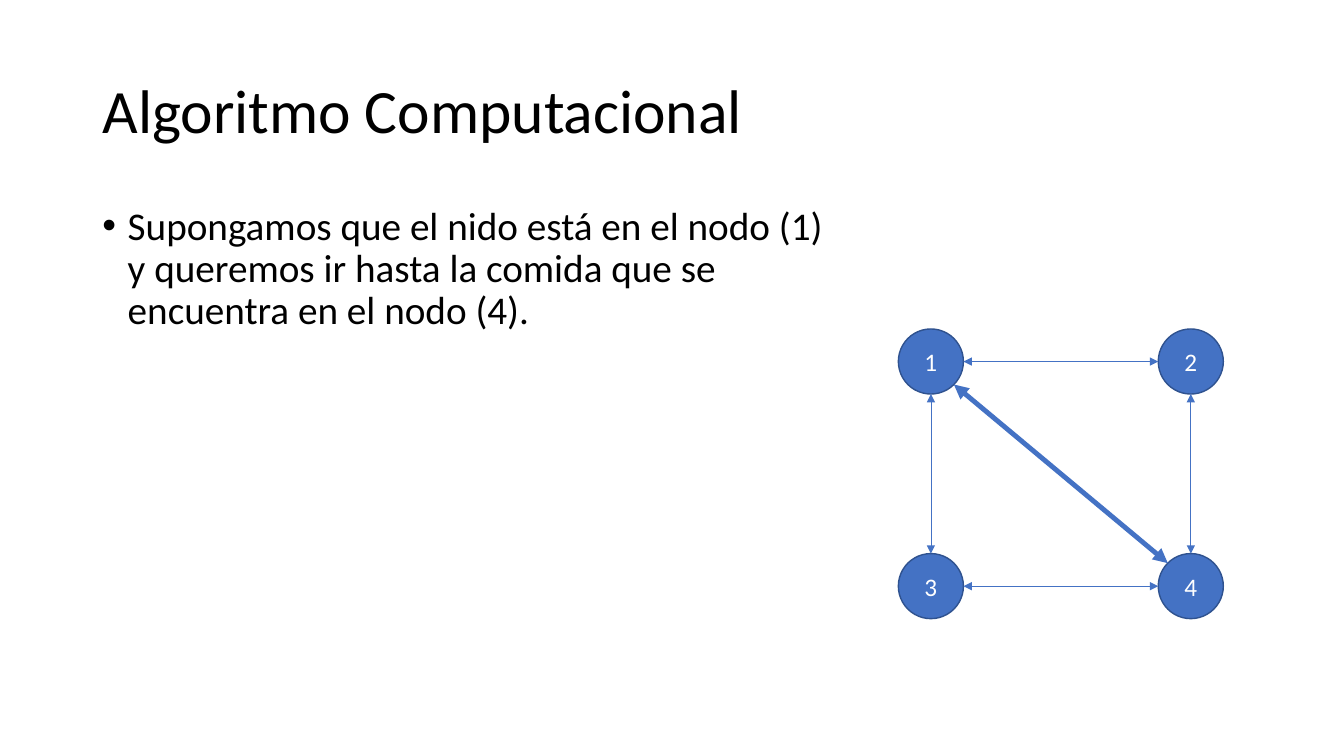
from math import hypot

from lxml import etree
from pptx import Presentation
from pptx.dml.color import RGBColor
from pptx.enum.shapes import MSO_CONNECTOR, MSO_SHAPE
from pptx.enum.text import MSO_ANCHOR, MSO_AUTO_SIZE, PP_ALIGN
from pptx.oxml.ns import qn
from pptx.util import Cm, Pt

STRAIGHT = MSO_CONNECTOR.STRAIGHT
OVAL = MSO_SHAPE.OVAL
LEFT, CENTER = PP_ALIGN.LEFT, PP_ALIGN.CENTER
TOP, MIDDLE = MSO_ANCHOR.TOP, MSO_ANCHOR.MIDDLE
NO_AUTOFIT = MSO_AUTO_SIZE.NONE

BLACK = RGBColor(0x00, 0x00, 0x00)
WHITE = RGBColor(0xFF, 0xFF, 0xFF)
BLUE = RGBColor(0x44, 0x72, 0xC4)
DARK_BLUE = RGBColor(0x2F, 0x52, 0x8F)

FONT = "Calibri"
TITLE_LAYOUT = 5

# Graph: node centres in cm, and edges with their widths in points
RADIUS = 0.82
COLUMNS = (23.46, 30.01)
ROWS = (9.11, 14.77)
NODES = {
    str(2 * row + column + 1): (x, y)
    for row, y in enumerate(ROWS)
    for column, x in enumerate(COLUMNS)
}
EDGES = [("1", "2", 0.5), ("1", "3", 0.5), ("2", "4", 0.5),
         ("1", "4", 3.5), ("3", "4", 0.5)]


def write_text(shape, text, size, color=BLACK, align=LEFT, anchor=MIDDLE,
               line_spacing=None, space_before=None):
    frame = shape.text_frame
    frame.word_wrap = True
    frame.auto_size = NO_AUTOFIT
    frame.vertical_anchor = anchor
    para = frame.paragraphs[0]
    para.alignment = align
    para.line_spacing = line_spacing
    para.space_before = space_before
    span = para.add_run()
    span.text = text
    span.font.name = FONT
    span.font.size = Pt(size)
    span.font.color.rgb = color
    return para


def add_bullet(para):
    properties = para._p.get_or_add_pPr()
    properties.set("marL", str(Cm(0.64)))
    properties.set("indent", str(-Cm(0.64)))
    font = etree.SubElement(properties, qn("a:buFont"))
    font.set("typeface", "Arial")
    etree.SubElement(properties, qn("a:buChar")).set("char", "•")


def add_title(page, text):
    title = page.shapes.title
    title.left, title.top = Cm(2.33), Cm(1.01)
    title.width, title.height = Cm(19.84), Cm(3.68)
    write_text(title, text, 44, line_spacing=0.9)


def add_body(page, text):
    box = page.shapes.add_textbox(Cm(2.33), Cm(5.07), Cm(19.25), Cm(12.09))
    para = write_text(box, text, 28, anchor=TOP,
                      line_spacing=0.9, space_before=Pt(10))
    add_bullet(para)


def add_node(page, label, x, y):
    node = page.shapes.add_shape(OVAL, Cm(x - RADIUS), Cm(y - RADIUS),
                                 Cm(2 * RADIUS), Cm(2 * RADIUS))
    node.name = f"Nodo {label}"
    node.shadow.inherit = False
    node.fill.solid()
    node.fill.fore_color.rgb = BLUE
    node.line.color.rgb = DARK_BLUE
    node.line.width = Pt(1)
    write_text(node, label, 18, color=WHITE, align=CENTER)


def add_edge(page, start, end, width):
    # Edges leave a node at its side or at 45 degrees
    (x1, y1), (x2, y2) = start, end
    step_x, step_y = (x2 > x1) - (x2 < x1), (y2 > y1) - (y2 < y1)
    reach = RADIUS / hypot(step_x, step_y)
    shift_x, shift_y = reach * step_x, reach * step_y
    edge = page.shapes.add_connector(
        STRAIGHT, Cm(x1 + shift_x), Cm(y1 + shift_y),
        Cm(x2 - shift_x), Cm(y2 - shift_y))
    edge.line.color.rgb = BLUE
    edge.line.width = Pt(width)
    outline = edge.line._get_or_add_ln()
    for tag in ("a:headEnd", "a:tailEnd"):
        etree.SubElement(outline, qn(tag)).set("type", "triangle")
    etree.SubElement(edge._element.spPr, qn("a:effectLst"))


def main():
    deck = Presentation()
    deck.slide_width, deck.slide_height = Cm(33.87), Cm(19.05)
    page = deck.slides.add_slide(deck.slide_layouts[TITLE_LAYOUT])

    # Text
    add_title(page, "Algoritmo Computacional")
    add_body(page, "Supongamos que el nido está en el nodo (1) y queremos ir "
                   "hasta la comida que se encuentra en el nodo (4).")

    # Graph
    for label, (x, y) in NODES.items():
        add_node(page, label, x, y)
    for start, end, width in EDGES:
        add_edge(page, NODES[start], NODES[end], width)

    deck.save("out.pptx")


if __name__ == "__main__":
    main()
